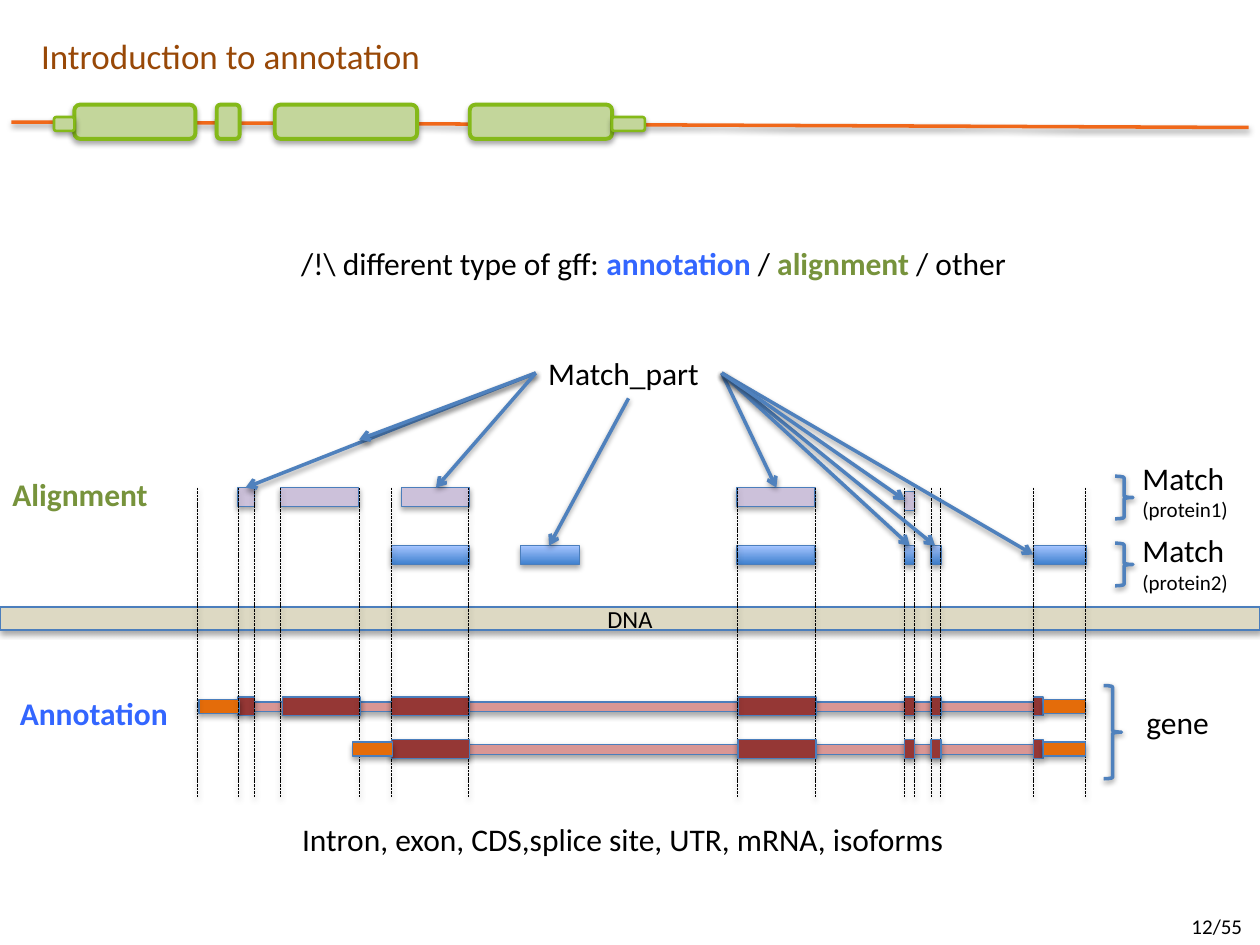
from lxml.etree import SubElement
from pptx import Presentation
from pptx.dml.color import RGBColor
from pptx.enum.dml import MSO_LINE as Dash
from pptx.enum.shapes import MSO_CONNECTOR as Connector, MSO_SHAPE as Shape
from pptx.enum.text import MSO_ANCHOR as Anchor, MSO_AUTO_SIZE as AutoSize, PP_ALIGN as Align
from pptx.oxml.ns import qn
from pptx.util import Cm, Pt

FONT = "Calibri"
BLACK, BLUE, GREEN, BROWN = "000000", "3366FF", "77933C", "984807"
OUTLINE, ARROW = "4B7EBC", "4F81BD"
ORANGE, LIME, PALE_GREEN = "F0681A", "84B919", "C3D69B"
INTRON, EXON, UTR = "D99694", "953735", "E46C0A"
PURPLE, BLUE_FADE = "CCC1DA", ("3F80CE", "A4C4FF")

BAR_HEIGHT = 0.38
GUIDE_TOP, GUIDE_BOTTOM = 9.83, 16.08
GUIDES = [3.99, 4.8, 5.13, 5.66, 7.24, 7.9, 9.45, 14.86, 16.43,
          18.24, 18.44, 18.77, 18.95, 20.83, 21.89]

# Spans are (left, width) in centimetres.
SHARED_EXONS = [(7.9, 1.57), (14.88, 1.57), (18.24, 0.2), (18.77, 0.2), (20.83, 0.2)]
LAST_UTR = (21.03, 0.86)
PROTEIN_1 = [(5.66, 1.57), (8.1, 1.37), (14.86, 1.57), (4.8, 0.33)]
PROTEIN_2 = [(7.9, 1.57), (14.86, 1.57), (18.24, 0.2), (18.77, 0.2),
             (20.83, 1.07), (10.49, 1.19)]
ARROWS = {
    (10.8, 7.52): [(4.95, 9.83), (7.24, 8.86), (8.79, 9.83)],
    (12.67, 8.03): [(11.07, 11)],
    (14.55, 7.52): [(18.85, 11), (15.65, 9.83), (18.34, 11), (20.83, 11.18), (18.24, 10.08)],
}


def rgb(color):
    return RGBColor.from_string(color)


def add_shadow(item, distance, opacity):
    """Give a soft shadow straight below the item."""
    effects = SubElement(item._element.spPr, qn("a:effectLst"))
    shadow = SubElement(effects, qn("a:outerShdw"), blurRad="40000", dist=str(distance),
                        dir="5400000", rotWithShape="0")
    color = SubElement(shadow, qn("a:srgbClr"), val=BLACK)
    SubElement(color, qn("a:alpha"), val=str(opacity * 1000))


def add_bar(page, left, top, width, height, fill, line=OUTLINE, weight=0.75,
            kind=Shape.RECTANGLE):
    """Add a filled bar; a pair of colours fades from bottom to top."""
    bar = page.shapes.add_shape(kind, Cm(left), Cm(top), Cm(width), Cm(height))
    if isinstance(fill, tuple):
        bar.fill.gradient()
        bar.fill.gradient_angle = 90
        for stop, color in zip(bar.fill.gradient_stops, fill):
            stop.color.rgb = rgb(color)
    else:
        bar.fill.solid()
        bar.fill.fore_color.rgb = rgb(fill)
    bar.line.color.rgb = rgb(line)
    bar.line.width = Pt(weight)
    add_shadow(bar, 23000, 35)
    return bar


def add_row(page, spans, top, fill, height=BAR_HEIGHT):
    for left, width in spans:
        add_bar(page, left, top, width, height, fill)


def add_line(page, start, end, color, weight, dash=None, arrow=False):
    line = page.shapes.add_connector(Connector.STRAIGHT, *map(Cm, start + end))
    line.line.color.rgb = rgb(color)
    line.line.width = Pt(weight)
    if dash:
        line.line.dash_style = dash
    if arrow:
        SubElement(line.line._get_or_add_ln(), qn("a:tailEnd"), type="arrow")
    add_shadow(line, 20000, 38)


def add_brace(page, left, top, height):
    brace = page.shapes.add_shape(Shape.RIGHT_BRACE, Cm(left), Cm(top), Cm(0.36), Cm(height))
    brace.fill.background()
    brace.line.color.rgb = rgb(ARROW)
    brace.line.width = Pt(2)
    add_shadow(brace, 20000, 38)


def add_span(para, text, size=18, color=BLACK, bold=False):
    span = para.add_run()
    span.text = text
    span.font.name = FONT
    span.font.size = Pt(size)
    span.font.bold = bold
    span.font.color.rgb = rgb(color)


def add_text(page, left, top, width, lines, height=1.02, align=Align.LEFT, wrap=True, grow=True):
    """Add a text box; each line is a list of (text, size, colour, bold) runs."""
    box = page.shapes.add_textbox(Cm(left), Cm(top), Cm(width), Cm(height))
    frame = box.text_frame
    frame.word_wrap = wrap
    frame.auto_size = AutoSize.SHAPE_TO_FIT_TEXT if grow else AutoSize.NONE
    for index, spans in enumerate(lines):
        para = frame.add_paragraph() if index else frame.paragraphs[0]
        para.alignment = align
        for span in spans:
            add_span(para, *span)


def add_header(page):
    add_line(page, (0.23, 2.46), (25.17, 2.57), ORANGE, 2)
    for left, width in [(1.5, 2.44), (4.37, 0.46), (5.54, 2.87), (9.47, 2.87)]:
        add_bar(page, left, 2.11, width, 0.69, PALE_GREEN, LIME, 2.25, Shape.ROUNDED_RECTANGLE)
    for left, width in [(12.34, 0.66), (1.09, 0.41)]:
        add_bar(page, left, 2.36, width, 0.28, PALE_GREEN, LIME, 1.5, Shape.ROUNDED_RECTANGLE)
    add_text(page, 0.58, 0.58, 8.26, [[("Introduction to annotation", 20, BROWN)]],
             height=1.12, wrap=False)


def add_dna(page):
    dna = add_bar(page, 0, 12.24, 25.4, 0.46, "DDD9C3")
    dna.text_frame.vertical_anchor = Anchor.MIDDLE
    para = dna.text_frame.paragraphs[0]
    para.alignment = Align.CENTER
    add_span(para, "DNA", 14)


def add_transcript(page, top, start, exons, first_utr):
    """Draw one isoform: intron line, then exons, then both UTRs."""
    add_row(page, [(start, 20.83 - start)], top + 0.1, INTRON, 0.2)
    add_row(page, exons, top, EXON)
    add_row(page, [first_utr, LAST_UTR], top + 0.05, UTR, 0.28)


def add_alignments(page):
    add_row(page, PROTEIN_1, 9.83, PURPLE)
    add_row(page, [(18.24, 0.2)], 9.91, PURPLE)
    add_row(page, PROTEIN_2, 11, BLUE_FADE)


def add_labels(page):
    add_text(page, 0.15, 13.87, 3.51, [[("Annotation", 18, BLUE, True)]])
    add_text(page, 0, 9.45, 3.51, [[("Alignment", 18, GREEN, True)]])
    add_text(page, 22.86, 14.05, 1.78, [[("gene",)]])
    add_brace(page, 22.25, 13.82, 1.88)
    for number, text_top, brace_top in [(1, 9.12, 9.6), (2, 10.59, 10.95)]:
        add_text(page, 22.78, text_top, 2.97,
                 [[("Match",)], [(f"(protein{number})", 12)]], height=1.55)
        add_brace(page, 22.48, brace_top, 0.86)
    add_text(page, 10.8, 7.01, 3.76, [[("Match_part",)]])
    add_text(page, 5.84, 16.41, 13.67,
             [[("Intron, exon, CDS,splice site, UTR, mRNA, isoforms",)]])
    add_text(page, 4.45, 4.8, 17.45, [[
        ("/!\\ different type of gff: ",), ("annotation ", 18, BLUE, True), ("/ ",),
        ("alignment ", 18, GREEN, True), ("/ other",)]], align=Align.CENTER)
    add_text(page, 23.77, 18.29, 1.63, [[("12/55", 12)]], height=0.76, grow=False)


def main():
    deck = Presentation()
    deck.slide_width, deck.slide_height = Cm(25.4), Cm(19.05)
    page = deck.slides.add_slide(deck.slide_layouts[6])
    add_header(page)
    add_dna(page)
    add_transcript(page, 14.05, 5.03, [(5.69, 1.57), *SHARED_EXONS, (4.8, 0.33)], (4.01, 0.81))
    add_alignments(page)
    for x in GUIDES:
        add_line(page, (x, GUIDE_TOP), (x, GUIDE_BOTTOM), BLACK, 0.5, dash=Dash.SQUARE_DOT)
    add_transcript(page, 14.91, 7.9, SHARED_EXONS, (7.11, 0.81))
    add_labels(page)
    for start, targets in ARROWS.items():
        for target in targets:
            add_line(page, start, target, ARROW, 2, arrow=True)
    deck.save("out.pptx")


if __name__ == "__main__":
    main()
